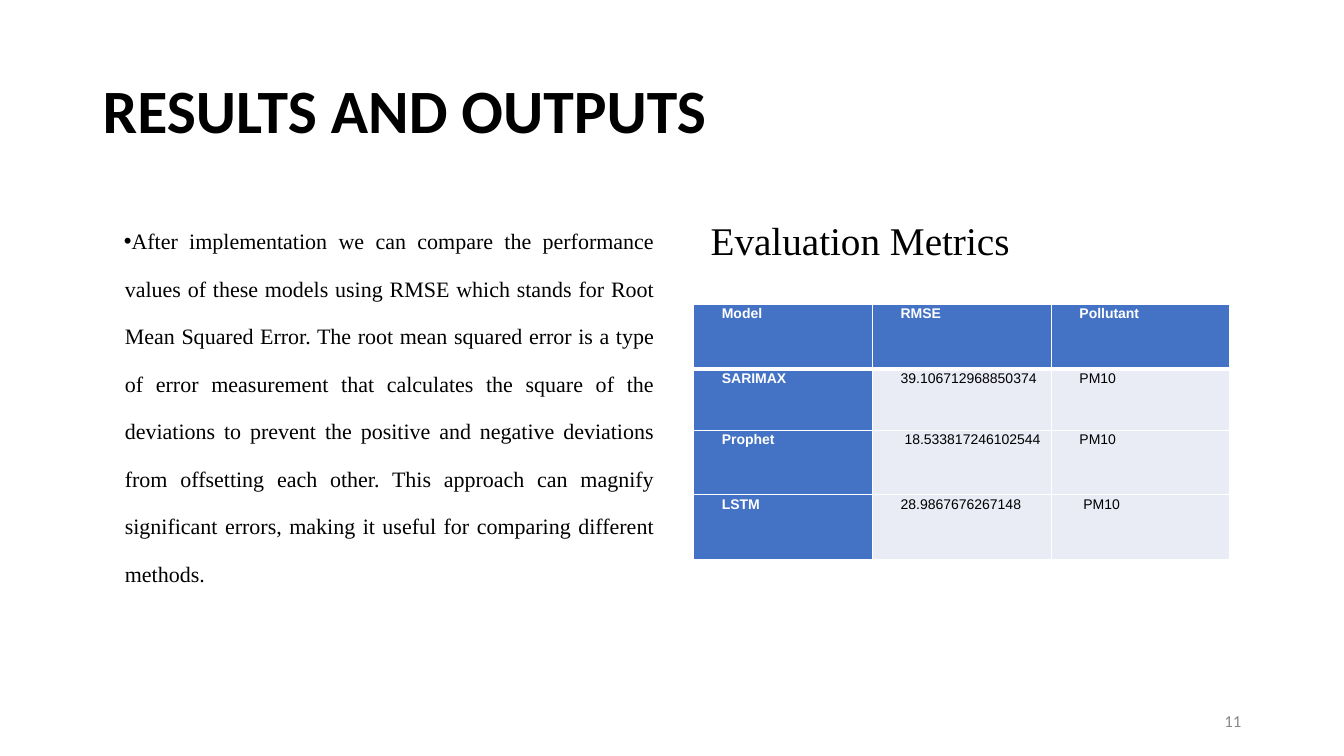
"""Build the results slide with an explanation of RMSE and a table of evaluation metrics."""
from lxml.etree import SubElement
from pptx import Presentation
from pptx.dml.color import RGBColor
from pptx.enum.text import MSO_ANCHOR, PP_ALIGN
from pptx.oxml.ns import qn
from pptx.util import Inches, Pt

THEME = {
    "black": "000000", "white": "FFFFFF", "gray": "888888",
    "blue": "4472C4", "pale": "E9EBF5",
    "title": 44, "heading": 28, "body": 15.7, "number": 12, "cell": 10,
    "sans": "Calibri", "serif": "Times New Roman", "table": "Arial",
}
WIDTH, HEIGHT = 13.33, 7.5
MARGIN = 0.92
COLUMN = 5.67
GUTTER = WIDTH - 2 * (MARGIN + COLUMN)


def style_paragraph(paragraph, size, font, color, align, spacing=1.0, bold=False,
                    before=0, after=0, margin=0, indent=0, bullet=None):
    """Apply spacing, indents, bullet and font to one paragraph."""
    properties = paragraph._p.get_or_add_pPr()
    properties.set("marL", str(Inches(margin)))
    properties.set("indent", str(Inches(indent)))
    if bullet:
        bullet_color = SubElement(properties, qn("a:buClr"))
        SubElement(bullet_color, qn("a:srgbClr"), val=THEME[color])
        SubElement(properties, qn("a:buFont"), typeface="Arial")
        SubElement(properties, qn("a:buChar"), char=bullet)
    paragraph.alignment = align
    paragraph.line_spacing = spacing
    paragraph.space_before = Pt(before)
    paragraph.space_after = Pt(after)
    paragraph.font.size = Pt(THEME[size])
    paragraph.font.name = THEME[font]
    paragraph.font.bold = bold
    paragraph.font.color.rgb = RGBColor.from_string(THEME[color])


presentation = Presentation()
presentation.slide_width = Inches(WIDTH)
presentation.slide_height = Inches(HEIGHT)
slide = presentation.slides.add_slide(presentation.slide_layouts[6])

explanation = (
    "After implementation we can compare the performance values of these models "
    "using RMSE which stands for Root Mean Squared Error. The root mean squared error "
    "is a type of error measurement that calculates the square of the deviations to "
    "prevent the positive and negative deviations from offsetting each other. This "
    "approach can magnify significant errors, making it useful for comparing "
    "different methods."
)
right_column = MARGIN + COLUMN + GUTTER
text_blocks = [
    ("RESULTS AND OUTPUTS", (MARGIN, 0.4, WIDTH - 2 * MARGIN, 1.45), MSO_ANCHOR.MIDDLE,
     dict(size="title", font="sans", color="black", align=PP_ALIGN.LEFT,
          spacing=0.9, bold=True)),
    (explanation, (MARGIN, 2, COLUMN, 4.95), MSO_ANCHOR.TOP,
     dict(size="body", font="serif", color="black", align=PP_ALIGN.JUSTIFY, spacing=1.8,
          before=10, after=0.1, margin=0.22, indent=-0.01, bullet="•")),
    ("Evaluation Metrics", (right_column, 1.63, COLUMN, 5.12), MSO_ANCHOR.TOP,
     dict(size="heading", font="serif", color="black", align=PP_ALIGN.JUSTIFY, spacing=2.0,
          before=10, after=0.1, margin=0.21)),
    ("11", (WIDTH - MARGIN - 3, 6.95, 3, 0.4), MSO_ANCHOR.MIDDLE,
     dict(size="number", font="sans", color="gray", align=PP_ALIGN.RIGHT)),
]
for text, box, anchor, style in text_blocks:
    text_frame = slide.shapes.add_textbox(*map(Inches, box)).text_frame
    text_frame.word_wrap = True
    text_frame.vertical_anchor = anchor
    text_frame.text = text
    style_paragraph(text_frame.paragraphs[0], **style)

metrics = [
    ("Model", "RMSE", "Pollutant"),
    ("SARIMAX", "39.106712968850374", "PM10"),
    ("Prophet", " 18.533817246102544", "PM10 "),
    ("LSTM", "28.9867676267148", " PM10"),
]
row_heights = [0.64, 0.61, 0.64, 0.64]
table = slide.shapes.add_table(
    len(metrics), len(metrics[0]),
    Inches(6.88), Inches(3.02), Inches(5.32), Inches(sum(row_heights))).table
table.first_col = True
table.horz_banding = False
for row, height in zip(table.rows, row_heights):
    row.height = Inches(height)

for row_index, values in enumerate(metrics):
    for column_index, value in enumerate(values):
        is_header = row_index == 0 or column_index == 0
        cell = table.cell(row_index, column_index)
        cell.margin_left = cell.margin_right = Inches(0.07)
        cell.margin_top = cell.margin_bottom = 0
        cell.text = value
        style_paragraph(cell.text_frame.paragraphs[0], "cell", "table",
                        "white" if is_header else "black", PP_ALIGN.JUSTIFY,
                        spacing=1.1, bold=is_header, after=0.1, margin=0.22, indent=-0.01)
        cell_properties = cell._tc.get_or_add_tcPr()
        for side in ("L", "R", "T", "B"):
            is_header_rule = (row_index, side) in ((0, "B"), (1, "T"))
            border = SubElement(cell_properties, qn(f"a:ln{side}"),
                                w=str(Pt(3 if is_header_rule else 1)))
            border_fill = SubElement(border, qn("a:solidFill"))
            SubElement(border_fill, qn("a:srgbClr"), val=THEME["white"])
        cell.fill.solid()
        cell.fill.fore_color.rgb = RGBColor.from_string(THEME["blue" if is_header else "pale"])

presentation.save("out.pptx")
